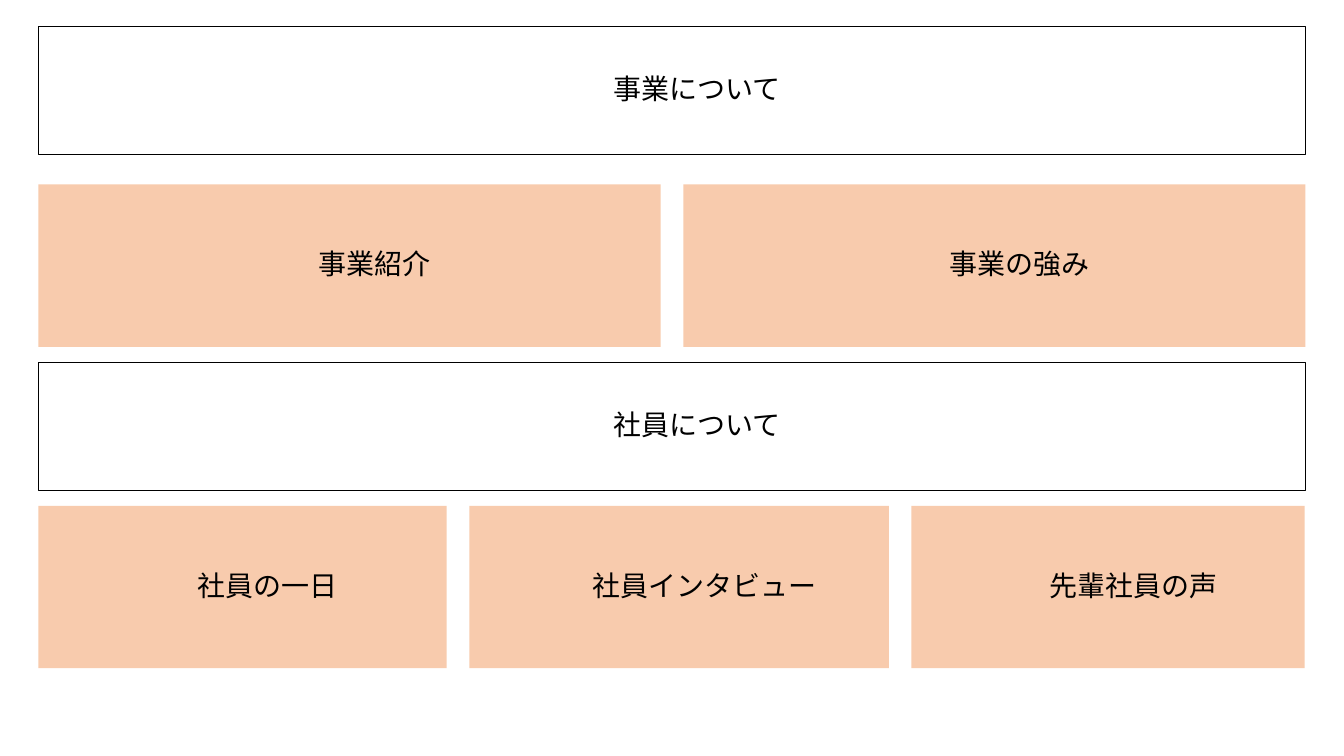
from lxml import etree
from pptx import Presentation
from pptx.dml.color import RGBColor
from pptx.enum.shapes import MSO_SHAPE
from pptx.enum.text import MSO_ANCHOR, PP_ALIGN
from pptx.oxml.ns import qn
from pptx.util import Cm, Pt

RECTANGLE = MSO_SHAPE.RECTANGLE
MIDDLE = MSO_ANCHOR.MIDDLE
BLACK = RGBColor(0x00, 0x00, 0x00)
WHITE = RGBColor(0xFF, 0xFF, 0xFF)
PEACH = RGBColor(0xF8, 0xCB, 0xAD)
FONT = "Noto Sans CJK JP"

PARAGRAPH_FORMAT = {
    "alignment": PP_ALIGN.CENTER,
    "level": 1,
    "line_spacing": 0.9,
    "space_before": Pt(5),
}
FONT_FORMAT = {"name": FONT, "size": Pt(20)}

LEFT = 0.97
GAP = 0.57
FULL_WIDTH = 31.93
HEADING_HEIGHT = 3.23
TOPIC_HEIGHT = 4.09

# Each section: heading, heading top, topics top, topics with their widths
SECTIONS = [
    ("事業について", 0.66, 4.65, [("事業紹介", 15.68), ("事業の強み", 15.68)]),
    ("社員について", 9.14, 12.75,
     [("社員の一日", 10.29), ("社員インタビュー", 10.57), ("先輩社員の声", 9.91)]),
]

presentation = Presentation()
presentation.slide_width = Cm(33.87)
presentation.slide_height = Cm(19.05)
slide = presentation.slides.add_slide(presentation.slide_layouts[6])


def add_box(label, left, top, width, height, fill, outlined=False):
    """Add a filled rectangle with an indented, centred label."""
    box = slide.shapes.add_shape(RECTANGLE, Cm(left), Cm(top), Cm(width), Cm(height))
    box.shadow.inherit = False
    box.fill.solid()
    box.fill.fore_color.rgb = fill
    if outlined:
        box.line.color.rgb = BLACK
        box.line.width = Pt(0.75)
    else:
        box.line.fill.background()

    box.text_frame.word_wrap = True
    box.text_frame.vertical_anchor = MIDDLE
    paragraph = box.text_frame.paragraphs[0]
    for attribute, value in PARAGRAPH_FORMAT.items():
        setattr(paragraph, attribute, value)
    indent = paragraph._p.get_or_add_pPr()
    indent.set("marL", str(Cm(1.27)))
    indent.set("indent", "0")

    run = paragraph.add_run()
    run.text = label
    run.font.color.rgb = BLACK
    for attribute, value in FONT_FORMAT.items():
        setattr(run.font, attribute, value)
    east_asian = etree.SubElement(run._r.get_or_add_rPr(), qn("a:ea"))
    east_asian.set("typeface", FONT)


for heading, heading_top, topics_top, topics in SECTIONS:
    add_box(heading, LEFT, heading_top, FULL_WIDTH, HEADING_HEIGHT, WHITE, outlined=True)
    topic_left = LEFT
    for topic, topic_width in topics:
        add_box(topic, topic_left, topics_top, topic_width, TOPIC_HEIGHT, PEACH)
        topic_left += topic_width + GAP

presentation.save("out.pptx")
